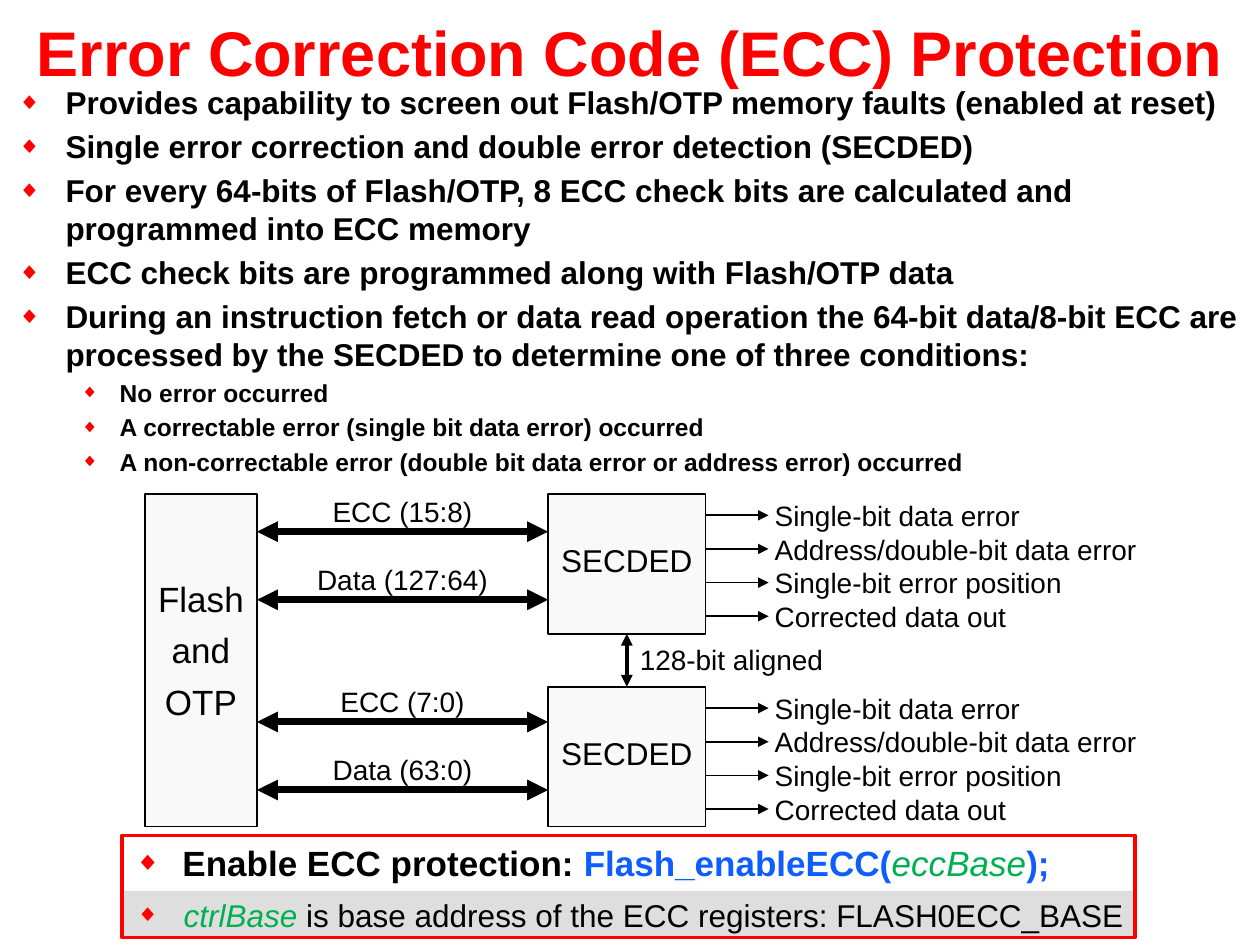
from dataclasses import dataclass

from lxml import etree
from pptx import Presentation
from pptx.dml.color import RGBColor
from pptx.enum.shapes import MSO_CONNECTOR, MSO_SHAPE
from pptx.enum.text import MSO_ANCHOR, MSO_AUTO_SIZE, PP_ALIGN
from pptx.oxml.ns import qn
from pptx.util import Inches, Pt

LEFT, CENTER = PP_ALIGN.LEFT, PP_ALIGN.CENTER
TOP, MIDDLE = MSO_ANCHOR.TOP, MSO_ANCHOR.MIDDLE
RECT, STRAIGHT = MSO_SHAPE.RECTANGLE, MSO_CONNECTOR.STRAIGHT


@dataclass(frozen=True)
class Theme:
    font: str = "Arial"
    black: str = "000000"
    red: str = "FF0000"
    blue: str = "0D5DFF"
    green: str = "00B050"
    box: str = "F9F9F9"
    band: str = "DEDEDE"
    title: int = 36
    large: int = 20
    body: int = 18
    label: int = 16
    sub: int = 14


T = Theme()


def write(tf, text, size=T.label, color=T.black, bold=False, align=LEFT,
          spacing=None, before=0, level=0, bullet=None):
    """Add a paragraph; text is a string or a list of (text, color, bold, italic)."""
    p = tf.paragraphs[0]
    if p.runs:
        p = tf.add_paragraph()
        p.space_before = Pt(before)
    else:
        p.space_before = Pt(0)
    p.level, p.alignment = level, align
    if spacing:
        p.line_spacing = spacing
    if bullet:
        margin, hang = bullet
        pPr = p._p.get_or_add_pPr()
        pPr.set("marL", str(Inches(margin)))
        pPr.set("indent", str(-Inches(hang)))
        clr = etree.SubElement(pPr, qn("a:buClr"))
        etree.SubElement(clr, qn("a:srgbClr"), val=T.red)
        etree.SubElement(pPr, qn("a:buSzPct"), val="75000")
        etree.SubElement(pPr, qn("a:buFont"), typeface=T.font)
        etree.SubElement(pPr, qn("a:buChar"), char="◆")
    runs = [(text, color, bold, False)] if isinstance(text, str) else text
    for words, run_color, run_bold, italic in runs:
        r = p.add_run()
        r.text = words
        r.font.name, r.font.size = T.font, Pt(size)
        r.font.bold, r.font.italic = run_bold, italic
        r.font.color.rgb = RGBColor.from_string(run_color)


def arrow(x1, y1, x2, y2, width, both=False):
    line = s.shapes.add_connector(STRAIGHT, Inches(x1), Inches(y1), Inches(x2), Inches(y2))
    line.line.width = Pt(width)
    line.line.color.rgb = RGBColor.from_string(T.black)
    ln = line.line._get_or_add_ln()
    for end in ("a:headEnd", "a:tailEnd") if both else ("a:tailEnd",):
        etree.SubElement(ln, qn(end), type="triangle")
    etree.SubElement(line._element.spPr, qn("a:effectLst"))
    return line


prs = Presentation()
prs.slide_width, prs.slide_height = Inches(10), Inches(7.5)
s = prs.slides.add_slide(prs.slide_layouts[1])

# Title and bullet list
title, body = s.placeholders
for sp, (x, y, w, h), anchor in ((title, (0, 0, 10, 0.81), MIDDLE),
                                 (body, (0.04, 0.61, 9.91, 3.33), TOP)):
    sp.left, sp.top, sp.width, sp.height = map(Inches, (x, y, w, h))
    sp.text_frame.auto_size = MSO_AUTO_SIZE.NONE
    sp.text_frame.vertical_anchor = anchor
    sp.text_frame.word_wrap = True
write(title.text_frame, "Error Correction Code (ECC) Protection",
      size=T.title, color=T.red, bold=True, align=CENTER)
for text in (
    "Provides capability to screen out Flash/OTP memory faults (enabled at reset)",
    "Single error correction and double error detection (SECDED)",
    "For every 64-bits of Flash/OTP, 8 ECC check bits are calculated and "
    "programmed into ECC memory",
    "ECC check bits are programmed along with Flash/OTP data",
    "During an instruction fetch or data read operation the 64-bit data/8-bit ECC are "
    "processed by the SECDED to determine one of three conditions:",
):
    write(body.text_frame, text, size=T.body, bold=True, before=3.6, bullet=(0.38, 0.38))
for text in (
    "No error occurred",
    "A correctable error (single bit data error) occurred",
    "A non-correctable error (double bit data error or address error) occurred",
):
    write(body.text_frame, text, size=T.sub, bold=True, before=2.8, level=1,
          bullet=(0.81, 0.31))

# Rectangles: memory, two SECDED blocks, gray band and red frame
rects = []
for x, y, w, h, fill, line, width, lines, size in (
    (1.15, 3.92, 0.89, 2.64, T.box, T.black, 1, ("Flash", "and", "OTP"), T.large),
    (4.35, 3.92, 1.25, 1.11, T.box, T.black, 1, ("SECDED",), T.body),
    (4.35, 5.45, 1.25, 1.11, T.box, T.black, 1, ("SECDED",), T.body),
    (0.98, 7.07, 8.04, 0.38, T.band, None, 0, (), T.body),
    (0.97, 6.63, 8.04, 0.81, None, T.red, 2, (), T.body),
):
    sp = s.shapes.add_shape(RECT, Inches(x), Inches(y), Inches(w), Inches(h))
    sp.shadow.inherit = False
    if fill:
        sp.fill.solid()
        sp.fill.fore_color.rgb = RGBColor.from_string(fill)
    else:
        sp.fill.background()
    if line:
        sp.line.color.rgb = RGBColor.from_string(line)
        sp.line.width = Pt(width)
    else:
        sp.line.fill.background()
    sp.text_frame.vertical_anchor = MIDDLE
    sp.text_frame.word_wrap = True
    for text in lines:
        write(sp.text_frame, text, size=size, align=CENTER, spacing=0.8, before=size / 2)
    rects.append(sp)
memory, upper, lower, band, frame = rects
memory.text_frame.margin_bottom = Inches(0.15)

# Buses between memory and SECDED, and the link between the blocks
labels = [(("128-bit aligned",), 4.98, 5.1, 1.67, 0.32, LEFT, 0.8)]
for text, y in (("ECC (15:8)", 4.22), ("Data (127:64)", 4.76),
                ("ECC (7:0)", 5.73), ("Data (63:0)", 6.27)):
    arrow(2.04, y, 4.35, y, 4, both=True)
    labels.append(((text,), 2.41, y - 0.3, 1.57, 0.32, CENTER, 0.8))
link = arrow(4.97, 5.03, 4.97, 5.45, 2.25, both=True)
link.begin_connect(upper, 2)
link.end_connect(lower, 0)

# Outputs of each SECDED block
outputs = ("Single-bit data error", "Address/double-bit data error",
           "Single-bit error position", "Corrected data out")
for top in (3.9, 5.43):
    labels.append((outputs, 6.05, top, 3.11, 1.18, LEFT, None))
    for i in range(len(outputs)):
        y = top + 0.19 + i * 0.267
        arrow(5.6, y, 6.1, y, 1)

# Diagram labels
for lines, x, y, w, h, align, spacing in labels:
    tf = s.shapes.add_textbox(Inches(x), Inches(y), Inches(w), Inches(h)).text_frame
    tf.word_wrap = False
    tf.vertical_anchor = MIDDLE
    for text in lines:
        write(tf, text, align=align, spacing=spacing)

# Function call and its argument
call = s.shapes.add_textbox(Inches(0.97), Inches(6.63), Inches(8.04), Inches(0.41))
call.text_frame.word_wrap = True
write(call.text_frame, [("Enable ECC protection: ", T.black, True, False),
                        ("Flash_enableECC(", T.blue, True, False),
                        ("eccBase", T.green, False, True),
                        (");", T.blue, True, False)],
      size=T.large, bullet=(0.38, 0.38))
write(band.text_frame, [("ctrlBase ", T.green, False, True),
                        ("is base address of the ECC registers: FLASH0ECC_BASE",
                         T.black, False, False)],
      size=T.body, level=2, bullet=(0.38, 0.38))

prs.save("out.pptx")
